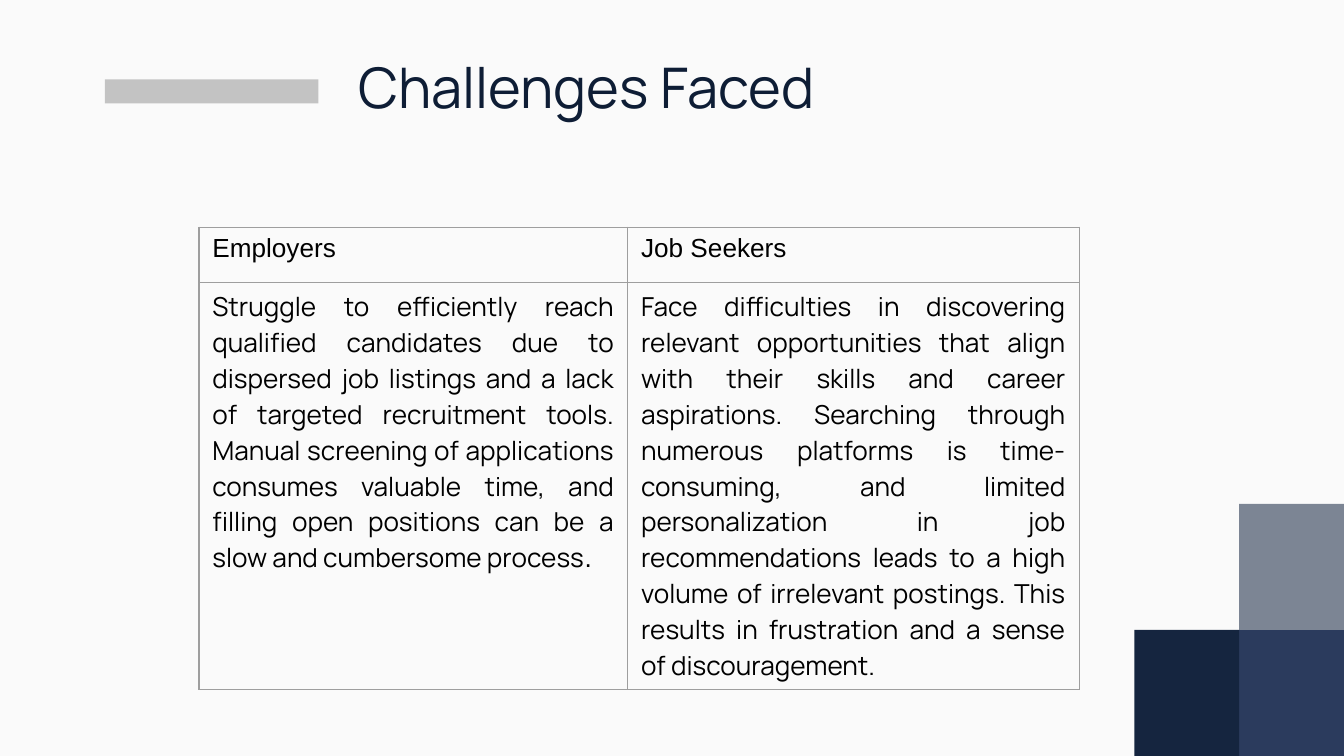
from lxml import etree
from pptx import Presentation
from pptx.dml.color import RGBColor
from pptx.enum.shapes import MSO_SHAPE
from pptx.enum.text import MSO_ANCHOR, MSO_AUTO_SIZE, PP_ALIGN
from pptx.oxml.ns import qn
from pptx.util import Inches, Pt

RECTANGLE = MSO_SHAPE.RECTANGLE
BOTTOM = MSO_ANCHOR.BOTTOM
NO_AUTOFIT = MSO_AUTO_SIZE.NONE
CENTER, JUSTIFY = PP_ALIGN.CENTER, PP_ALIGN.JUSTIFY
TITLE_ONLY = 5
SLIDE_WIDTH = 10
SLIDE_HEIGHT = SLIDE_WIDTH * 9 / 16
HEADING_FONT, PLAIN_FONT = "Manrope", "Arial"
COLORS = {
    "background": "FAFAFA",
    "title": "0E1D35",
    "text": "000000",
    "bar": "C3C3C3",
    "border": "9E9E9E",
    "blue": "2B3B5D",
    "gray": "7C8594",
    "navy": "15253F",
}
CELLS = [
    [[("Employers", PLAIN_FONT)], [("Job Seekers", PLAIN_FONT)]],
    [
        [("Struggle to efficiently reach qualified candidates due to dispersed "
          "job listings and a lack of targeted recruitment tools. Manual "
          "screening of applications consumes valuable time, and filling open "
          "positions can be a slow and cumbersome process", HEADING_FONT),
         (".", PLAIN_FONT)],
        [("Face difficulties in discovering relevant opportunities that align "
          "with their skills and career aspirations. Searching through "
          "numerous platforms is time-consuming, and limited personalization "
          "in job recommendations leads to a high volume of irrelevant "
          "postings. This results in frustration and a sense of "
          "discouragement.", HEADING_FONT)],
    ],
]


class SlideBuilder:
    """Holds the style and the current slide, and adds each kind of element."""

    def __init__(self, presentation):
        self.slide = presentation.slides.add_slide(
            presentation.slide_layouts[TITLE_ONLY])
        fill = self.slide.background.fill
        fill.solid()
        fill.fore_color.rgb = self.color("background")

    def color(self, name):
        return RGBColor.from_string(COLORS[name])

    def format_run(self, run, font_name, size, color):
        run.font.name = font_name
        run.font.size = Pt(size)
        run.font.color.rgb = self.color(color)

    def rectangle(self, left, top, width, height, color):
        shape = self.slide.shapes.add_shape(
            RECTANGLE, Inches(left), Inches(top), Inches(width), Inches(height))
        shape.shadow.inherit = False
        shape.fill.solid()
        shape.fill.fore_color.rgb = self.color(color)
        shape.line.fill.background()

    def title(self, text, left, top, width, height):
        shape = self.slide.shapes.title
        shape.left, shape.top = Inches(left), Inches(top)
        shape.width, shape.height = Inches(width), Inches(height)
        frame = shape.text_frame
        frame.text = text
        frame.word_wrap = True
        frame.auto_size = NO_AUTOFIT
        frame.vertical_anchor = BOTTOM
        frame.margin_left = frame.margin_right = Inches(0.1)
        frame.margin_top = frame.margin_bottom = Inches(0.1)
        paragraph = frame.paragraphs[0]
        paragraph.alignment = CENTER
        self.format_run(paragraph.runs[0], HEADING_FONT, 30, "title")

    def border(self, cell):
        properties = cell._tc.get_or_add_tcPr()
        for index, side in enumerate(("lnL", "lnR", "lnT", "lnB")):
            line = etree.Element(qn(f"a:{side}"), w=str(Pt(0.75)))
            fill = etree.SubElement(line, qn("a:solidFill"))
            etree.SubElement(fill, qn("a:srgbClr"), val=COLORS["border"])
            properties.insert(index, line)

    def table(self, cells, left, top, column_widths, row_heights):
        table = self.slide.shapes.add_table(
            len(row_heights), len(column_widths), Inches(left), Inches(top),
            Inches(sum(column_widths)), Inches(sum(row_heights))).table
        table.first_row = table.horz_banding = False
        for column, width in zip(table.columns, column_widths):
            column.width = Inches(width)
        for row, height, row_cells in zip(table.rows, row_heights, cells):
            row.height = Inches(height)
            for cell, pieces in zip(row.cells, row_cells):
                cell.fill.background()
                self.border(cell)
                paragraph = cell.text_frame.paragraphs[0]
                paragraph.alignment = JUSTIFY
                for text, font_name in pieces:
                    run = paragraph.add_run()
                    run.text = text
                    self.format_run(run, font_name, 14, "text")


def main():
    presentation = Presentation()
    presentation.slide_width = Inches(SLIDE_WIDTH)
    presentation.slide_height = Inches(SLIDE_HEIGHT)
    builder = SlideBuilder(presentation)
    block_width, block_height = 0.78, SLIDE_HEIGHT / 6
    for column, row, color in ((1, 1, "blue"), (1, 2, "gray"), (2, 1, "navy")):
        builder.rectangle(SLIDE_WIDTH - column * block_width,
                          SLIDE_HEIGHT - row * block_height,
                          block_width, block_height, color)
    builder.rectangle(0.78, 0.59, 1.59, 0.18, "bar")
    builder.title("Challenges Faced", 0.9, -0.36, 6.93, 1.35)
    builder.table(CELLS, 1.48, 1.69, (3.19, 3.36), (0.41, 2.66))
    presentation.save("out.pptx")


if __name__ == "__main__":
    main()
